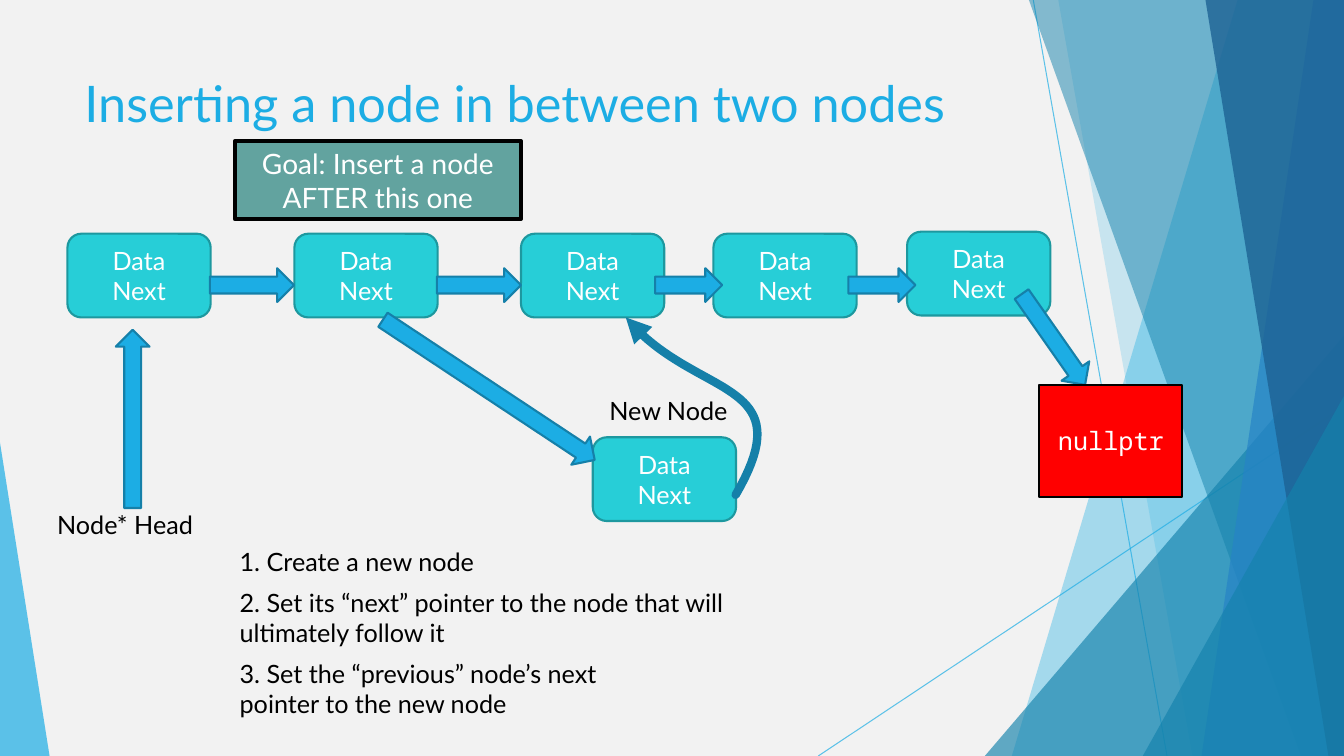
from lxml import etree
from pptx import Presentation
from pptx.dml.color import RGBColor
from pptx.enum import shapes, text
from pptx.oxml import ns
from pptx.util import Cm, Pt

BACKGROUND = RGBColor(0xF2, 0xF2, 0xF2)
SKY = RGBColor(0x1C, 0xAD, 0xE4)
SKY_EDGE = RGBColor(0x15, 0x80, 0xA9)
OCEAN = RGBColor(0x14, 0x82, 0xAC)
BLUE = RGBColor(0x26, 0x83, 0xC6)
NAVY = RGBColor(0x1D, 0x62, 0x94)
CYAN = RGBColor(0x27, 0xCE, 0xD7)
CYAN_EDGE = RGBColor(0x1D, 0x98, 0x9F)
SAGE = RGBColor(0x62, 0xA3, 0x9F)
RED = RGBColor(0xFF, 0x00, 0x00)
BLACK = RGBColor(0x00, 0x00, 0x00)
WHITE = RGBColor(0xFF, 0xFF, 0xFF)

WIDTH, HEIGHT = 33.87, 19.05
NODE_WIDTH, NODE_HEIGHT = 3.61, 2.11
ARROW_HEIGHT = 0.85
SHAPE = shapes.MSO_SHAPE


def style(shape, fill, edge=None, edge_width=1.5, opacity=100):
    """Give a shape a flat fill, an optional outline and an opacity in percent."""
    shape.shadow.inherit = False
    shape.fill.solid()
    shape.fill.fore_color.rgb = fill
    if edge is None:
        shape.line.fill.background()
    else:
        shape.line.color.rgb = edge
        shape.line.width = Pt(edge_width)
    if opacity < 100:
        color = shape.element.spPr.find(ns.qn("a:solidFill"))[0]
        etree.SubElement(color, ns.qn("a:alpha"), val=str(opacity * 1000))


def write(shape, words, color, size=18, font="Lato", align=text.PP_ALIGN.LEFT,
          anchor=text.MSO_ANCHOR.TOP):
    frame = shape.text_frame
    frame.word_wrap = True
    frame.vertical_anchor = anchor
    frame.text = words
    for para in frame.paragraphs:
        para.alignment = align
        for span in para.runs:
            span.font.name = font
            span.font.size = Pt(size)
            span.font.color.rgb = color


deck = Presentation()
deck.slide_width, deck.slide_height = Cm(WIDTH), Cm(HEIGHT)
page = deck.slides.add_slide(deck.slide_layouts[6])
page.background.fill.solid()
page.background.fill.fore_color.rgb = BACKGROUND

# Thin crossing lines of the backdrop
for x1, y1, x2, y2 in [(26.04, 0, 29.41, HEIGHT), (WIDTH, 10.24, 20.62, HEIGHT)]:
    ray = page.shapes.add_connector(
        shapes.MSO_CONNECTOR.STRAIGHT, Cm(x1), Cm(y1), Cm(x2), Cm(y2))
    ray.line.color.rgb = SKY
    ray.line.width = Pt(0.75)
    color = next(ray.element.iter(ns.qn("a:srgbClr")))
    etree.SubElement(color, ns.qn("a:alpha"), val="70000")
    etree.SubElement(ray.element.spPr, ns.qn("a:effectLst"))

# Facets: a band has (top x, bottom x), a triangle (left, top, width, apex)
facets = [
    ("band", (31.19, 25.5), SKY, 36),
    ("band", (26.67, 30.05), SKY, 20),
    ("triangle", (24.82, 8.46, 9.05, 1), OCEAN, 66),
    ("band", (25.93, 32.79), OCEAN, 50),
    ("band", (33.1, 30.28), BLUE, 70),
    ("band", (30.38, 33.48), NAVY, 80),
    ("triangle", (28.8, 9.98, 5.07, 1), OCEAN, 66),
    ("triangle", (0, 11.15, 1.25, 0), SKY, 70),
]
for kind, place, color, opacity in facets:
    if kind == "band":
        top_x, bottom_x = place
        outline = page.shapes.build_freeform(Cm(top_x), 0)
        outline.add_line_segments(
            [(Cm(WIDTH), 0), (Cm(WIDTH), Cm(HEIGHT)), (Cm(bottom_x), Cm(HEIGHT))])
        facet = outline.convert_to_shape()
    else:
        left, top, width, apex = place
        facet = page.shapes.add_shape(
            SHAPE.ISOSCELES_TRIANGLE, Cm(left), Cm(top), Cm(width), Cm(HEIGHT - top))
        facet.adjustments[0] = apex
    style(facet, color, opacity=opacity)

# Title, labels and steps
captions = [
    ("Inserting a node in between two nodes", 1.88, 1.7, 23.88, 2.36),
    ("Node* Head", 1.19, 12.7, 4.6, 1.02),
    ("New Node", 14.94, 9.83, 3.81, 1.02),
    ("1. Create a new node", 5.79, 13.64, 7.24, 1.02),
    ("2. Set its “next” pointer to the node that will ultimately follow it",
     5.79, 14.68, 14.15, 1.8),
    ("3. Set the “previous” node’s next pointer to the new node",
     5.79, 16.46, 10.62, 1.8),
]
for words, left, top, width, height in captions:
    box = page.shapes.add_textbox(Cm(left), Cm(top), Cm(width), Cm(height))
    write(box, words, BLACK)
    para = box.text_frame.paragraphs[0]
    if words.startswith("Inserting"):
        para.runs[0].font.size = Pt(36)
        para.runs[0].font.color.rgb = SKY
    elif words == "New Node":
        para.alignment = text.PP_ALIGN.CENTER

# The list nodes, then the new node
for left, top in [(1.7, 5.89), (7.42, 5.89), (13.13, 5.89), (17.98, 5.89),
                  (22.86, 5.84), (14.94, 11.02)]:
    node = page.shapes.add_shape(
        SHAPE.ROUNDED_RECTANGLE, Cm(left), Cm(top), Cm(NODE_WIDTH), Cm(NODE_HEIGHT))
    style(node, CYAN, CYAN_EDGE)
    write(node, "Data\nNext", WHITE, align=text.PP_ALIGN.CENTER,
          anchor=text.MSO_ANCHOR.MIDDLE)

# Pointers: left, top, length, rotation
pointers = [
    (5.29, 6.76, 2.12, 0),
    (11.01, 6.76, 2.12, 0),
    (16.51, 6.76, 1.69, 0),
    (21.38, 6.76, 1.69, 0),
    (1.1, 10.13, 4.49, 270),
    (25.15, 8.13, 2.79, 55),
    (9.12, 9.4, 6.4, 33.5),
]
for left, top, length, rotation in pointers:
    pointer = page.shapes.add_shape(
        SHAPE.RIGHT_ARROW, Cm(left), Cm(top), Cm(length), Cm(ARROW_HEIGHT))
    pointer.rotation = rotation
    style(pointer, SKY, SKY_EDGE)

null_box = page.shapes.add_shape(
    SHAPE.RECTANGLE, Cm(26.19), Cm(9.7), Cm(NODE_WIDTH), Cm(2.82))
style(null_box, RED, BLACK)
write(null_box, "nullptr", WHITE, font="Noto Sans Mono",
      align=text.PP_ALIGN.CENTER, anchor=text.MSO_ANCHOR.MIDDLE)

goal = page.shapes.add_shape(SHAPE.RECTANGLE, Cm(5.92), Cm(3.56), Cm(7.21), Cm(1.96))
style(goal, SAGE, BLACK, edge_width=3)
write(goal, "Goal: Insert a node AFTER this one", WHITE, size=20,
      align=text.PP_ALIGN.CENTER, anchor=text.MSO_ANCHOR.MIDDLE)

# Curved link from the new node to its follower, sampled from a cubic Bézier
bends = [(18.54, 12.47), (20.27, 9.5), (17.5, 10.08), (15.77, 8.0)]
STEPS = 40
curve = []
for step in range(STEPS + 1):
    t = step / STEPS
    weights = [(1 - t) ** 3, 3 * t * (1 - t) ** 2, 3 * t ** 2 * (1 - t), t ** 3]
    curve.append(tuple(
        Cm(sum(w * bend[axis] for w, bend in zip(weights, bends))) for axis in (0, 1)))
outline = page.shapes.build_freeform(*curve[0])
outline.add_line_segments(curve[1:], close=False)
link = outline.convert_to_shape()
link.shadow.inherit = False
link.fill.background()
link.line.color.rgb = SKY_EDGE
link.line.width = Pt(6)
stroke = link.element.spPr.find(ns.qn("a:ln"))
stroke.set("cap", "rnd")
etree.SubElement(stroke, ns.qn("a:round"))
etree.SubElement(stroke, ns.qn("a:tailEnd"), type="triangle")

deck.save("out.pptx")
